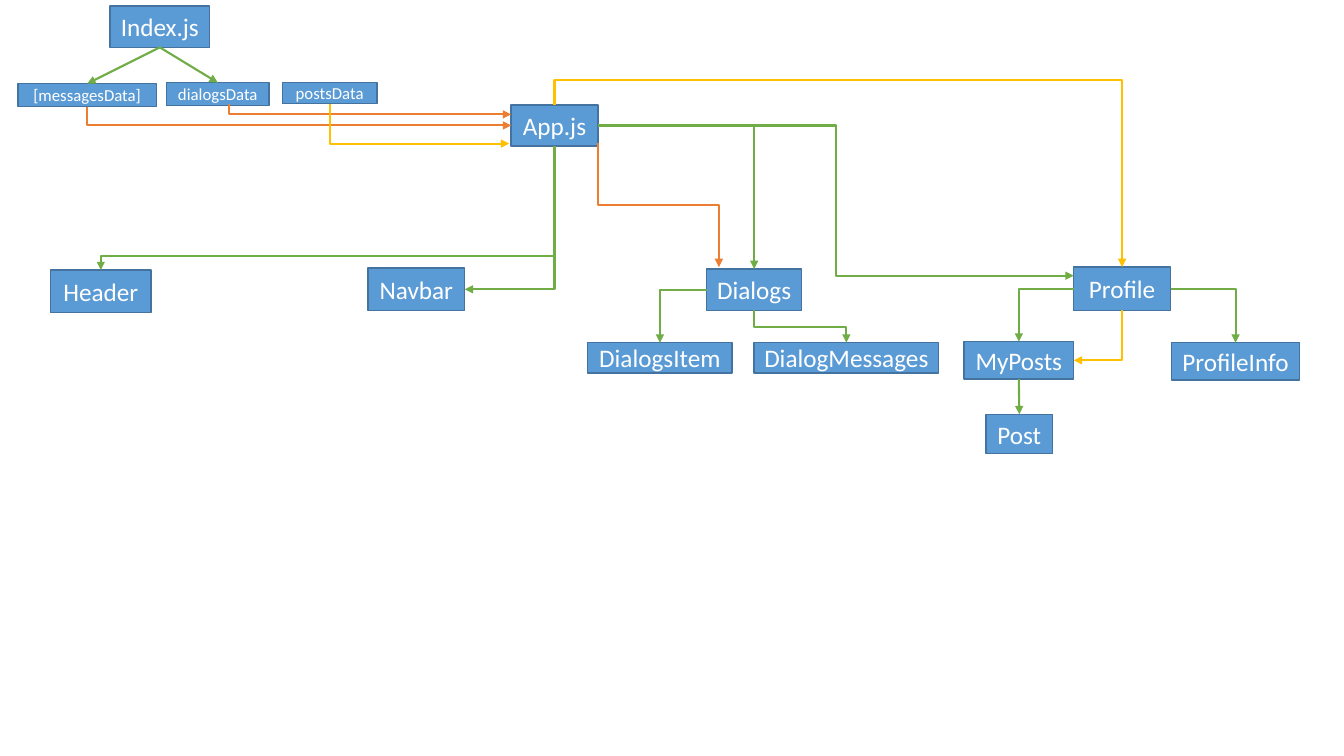
from dataclasses import dataclass
from enum import IntEnum

from lxml import etree
from pptx import Presentation
from pptx.dml.color import RGBColor
from pptx.enum.shapes import MSO_CONNECTOR, MSO_SHAPE
from pptx.enum.text import MSO_ANCHOR, PP_ALIGN
from pptx.oxml.ns import qn
from pptx.shapes.autoshape import Shape
from pptx.shapes.connector import Connector
from pptx.slide import Slide
from pptx.util import Inches, Pt

RECTANGLE = MSO_SHAPE.RECTANGLE
STRAIGHT = MSO_CONNECTOR.STRAIGHT
ELBOW = MSO_CONNECTOR.ELBOW
MIDDLE = MSO_ANCHOR.MIDDLE
CENTER = PP_ALIGN.CENTER

FONT = "Calibri"
COLORS = {
    "box": "5B9BD5",
    "border": "43739E",
    "text": "FFFFFF",
    "component": "70AD47",
    "dialog data": "ED7D31",
    "post data": "FFC000",
}


class Site(IntEnum):
    """Connection sites of a rectangle, in their file order."""
    TOP = 0
    LEFT = 1
    BOTTOM = 2
    RIGHT = 3


@dataclass(frozen=True)
class Box:
    label: str
    left: float
    top: float
    width: float
    height: float
    size: int = 18


@dataclass(frozen=True)
class Anchor:
    """A site on a box; an offset from the site leaves the end unglued."""
    label: str
    site: Site
    dx: float = 0
    dy: float = 0

    @property
    def glued(self) -> bool:
        return self.dx == 0 and self.dy == 0

    @property
    def vertical(self) -> bool:
        return self.site in (Site.TOP, Site.BOTTOM)

    def point(self, box: Box) -> tuple[float, float]:
        across = {Site.LEFT: 0, Site.RIGHT: 1}.get(self.site, 0.5)
        down = {Site.TOP: 0, Site.BOTTOM: 1}.get(self.site, 0.5)
        return (box.left + across * box.width + self.dx,
                box.top + down * box.height + self.dy)


@dataclass(frozen=True)
class Link:
    start: Anchor
    end: Anchor
    color: str = "component"
    straight: bool = False
    bend: float = 0.5


BOXES = [
    Box("Index.js", 1.09, 0.06, 0.99, 0.41),
    Box("[messagesData]", 0.18, 0.83, 1.37, 0.23, 12),
    Box("dialogsData", 1.65, 0.82, 1.02, 0.23, 12),
    Box("postsData", 2.8, 0.82, 0.94, 0.21, 12),
    Box("App.js", 5.07, 1.04, 0.86, 0.41),
    Box("Header", 0.5, 2.68, 1, 0.42),
    Box("Navbar", 3.65, 2.66, 0.96, 0.42),
    Box("Dialogs", 7.01, 2.67, 0.94, 0.41),
    Box("Profile", 10.65, 2.65, 0.96, 0.43),
    Box("DialogsItem", 5.83, 3.4, 1.43, 0.3),
    Box("DialogMessages", 7.48, 3.4, 1.83, 0.3),
    Box("MyPosts", 9.56, 3.39, 1.09, 0.37),
    Box("ProfileInfo", 11.62, 3.4, 1.27, 0.37),
    Box("Post", 9.78, 4.11, 0.66, 0.39),
]

LINKS = [
    # Component tree
    Link(Anchor("Index.js", Site.BOTTOM), Anchor("[messagesData]", Site.TOP), straight=True),
    Link(Anchor("Index.js", Site.BOTTOM), Anchor("dialogsData", Site.TOP), straight=True),
    Link(Anchor("App.js", Site.BOTTOM), Anchor("Header", Site.TOP), bend=0.89),
    Link(Anchor("App.js", Site.BOTTOM), Anchor("Navbar", Site.RIGHT)),
    Link(Anchor("App.js", Site.RIGHT), Anchor("Dialogs", Site.TOP)),
    Link(Anchor("App.js", Site.RIGHT), Anchor("Profile", Site.LEFT, dy=-0.13)),
    Link(Anchor("Dialogs", Site.LEFT), Anchor("DialogsItem", Site.TOP)),
    Link(Anchor("Dialogs", Site.BOTTOM), Anchor("DialogMessages", Site.TOP)),
    Link(Anchor("Profile", Site.LEFT), Anchor("MyPosts", Site.TOP)),
    Link(Anchor("Profile", Site.RIGHT), Anchor("ProfileInfo", Site.TOP)),
    Link(Anchor("MyPosts", Site.BOTTOM), Anchor("Post", Site.TOP), straight=True),
    # Dialog data
    Link(Anchor("[messagesData]", Site.BOTTOM), Anchor("App.js", Site.LEFT), "dialog data"),
    Link(Anchor("dialogsData", Site.BOTTOM, dx=0.11, dy=-0.02),
         Anchor("App.js", Site.LEFT, dy=-0.11), "dialog data"),
    Link(Anchor("App.js", Site.BOTTOM, dx=0.43, dy=-0.03),
         Anchor("Dialogs", Site.TOP, dx=-0.35, dy=-0.02), "dialog data"),
    # Post data
    Link(Anchor("postsData", Site.BOTTOM),
         Anchor("App.js", Site.LEFT, dx=-0.02, dy=0.18), "post data"),
    Link(Anchor("App.js", Site.TOP), Anchor("Profile", Site.TOP), "post data", bend=-0.155),
    Link(Anchor("Profile", Site.BOTTOM), Anchor("MyPosts", Site.RIGHT), "post data"),
]


def color(name: str) -> RGBColor:
    return RGBColor.from_string(COLORS[name])


def add_box(slide: Slide, box: Box) -> Shape:
    shape = slide.shapes.add_shape(RECTANGLE, Inches(box.left), Inches(box.top),
                                   Inches(box.width), Inches(box.height))
    shape.shadow.inherit = False
    shape.fill.solid()
    shape.fill.fore_color.rgb = color("box")
    shape.line.color.rgb = color("border")
    shape.line.width = Pt(1)
    frame = shape.text_frame
    frame.text = box.label
    frame.word_wrap = True
    frame.vertical_anchor = MIDDLE
    frame.margin_left = frame.margin_right = Inches(0.05)
    paragraph = frame.paragraphs[0]
    paragraph.alignment = CENTER
    font = paragraph.runs[0].font
    font.name, font.size, font.color.rgb = FONT, Pt(box.size), color("text")
    return shape


def route_elbow(connector: Connector, link: Link,
                start: tuple[float, float], end: tuple[float, float]) -> None:
    """Turn a descending elbow so that it leaves along the start side's axis."""
    dx, dy = end[0] - start[0], end[1] - start[1]
    width, height = abs(dx), abs(dy)
    if link.start.vertical:
        width, height = height, width
        rotation, flip = (270, "flipH") if dx > 0 else (90, "")
    else:
        rotation, flip = (0, "") if dx > 0 else (180, "flipV")
    connector.left = Inches((start[0] + end[0] - width) / 2)
    connector.top = Inches((start[1] + end[1] - height) / 2)
    connector.width, connector.height = Inches(width), Inches(height)
    properties = connector.element.spPr
    transform = properties.find(qn("a:xfrm"))
    transform.set("rot", str(rotation * 60000))
    for name in ("flipH", "flipV"):
        transform.set(name, "1" if name == flip else "0")
    geometry = properties.find(qn("a:prstGeom"))
    if link.start.vertical != link.end.vertical:
        geometry.set("prst", "bentConnector2")
    else:
        guides = geometry.find(qn("a:avLst"))
        etree.SubElement(guides, qn("a:gd"), name="adj1", fmla=f"val {round(link.bend * 100000)}")


def add_link(slide: Slide, link: Link, boxes: dict[str, Box], shapes: dict[str, Shape]) -> None:
    start = link.start.point(boxes[link.start.label])
    end = link.end.point(boxes[link.end.label])
    connector = slide.shapes.add_connector(STRAIGHT if link.straight else ELBOW,
                                           *(Inches(length) for length in start + end))
    if link.start.glued:
        connector.begin_connect(shapes[link.start.label], int(link.start.site))
    if link.end.glued:
        connector.end_connect(shapes[link.end.label], int(link.end.site))
    if not link.straight:
        route_elbow(connector, link, start, end)
    connector.line.color.rgb = color(link.color)
    connector.line.width = Pt(1.5)
    etree.SubElement(connector.line._get_or_add_ln(), qn("a:tailEnd"), type="triangle")
    etree.SubElement(connector.element.spPr, qn("a:effectLst"))


# Slide
presentation = Presentation()
presentation.slide_width, presentation.slide_height = Inches(13.33), Inches(7.5)
slide = presentation.slides.add_slide(presentation.slide_layouts[6])

# Boxes, then the arrows between them
boxes = {box.label: box for box in BOXES}
shapes = {box.label: add_box(slide, box) for box in BOXES}
for link in LINKS:
    add_link(slide, link, boxes, shapes)

presentation.save("out.pptx")
